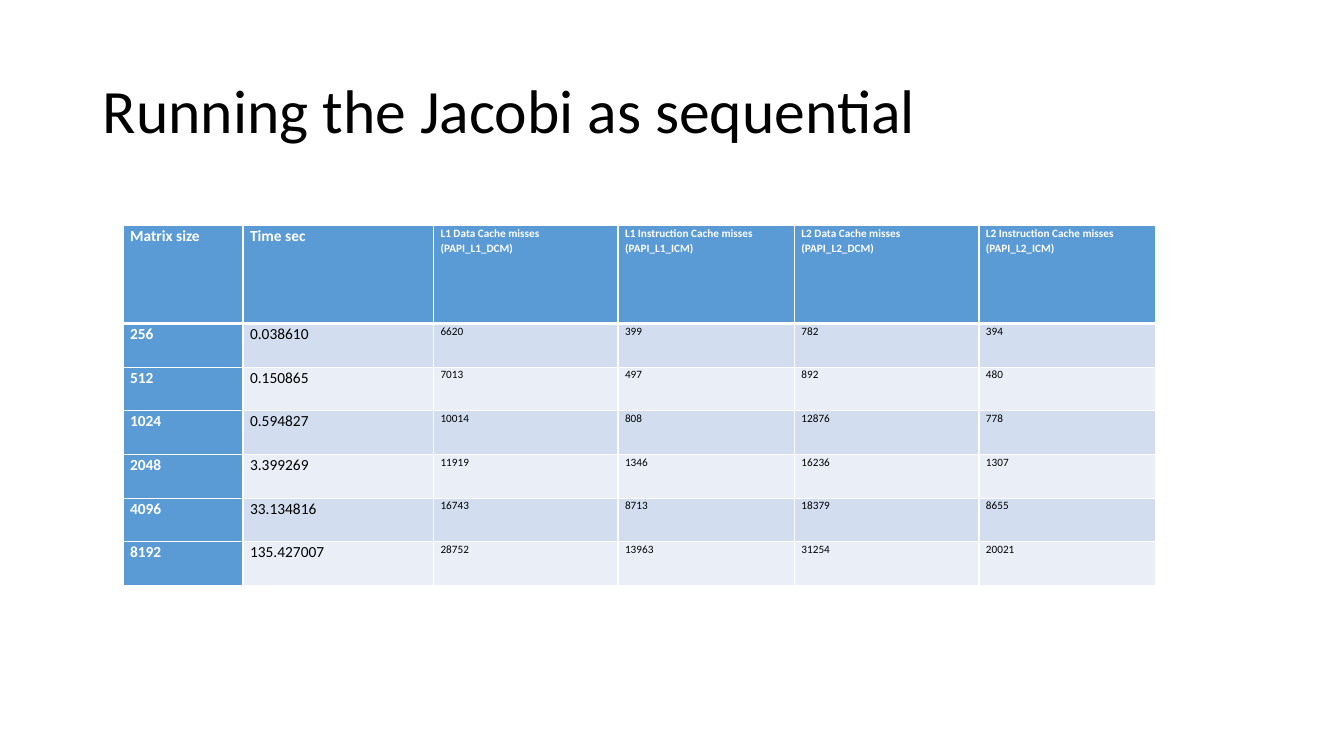
import lxml.etree
import pptx
import pptx.dml.color
import pptx.enum.text
import pptx.oxml.ns
import pptx.util

Inches = pptx.util.Inches

TITLE = "Running the Jacobi as sequential"
HEADERS = [
    "Matrix size",
    "Time sec",
    "L1 Data Cache misses\n(PAPI_L1_DCM)",
    "L1 Instruction Cache misses\n(PAPI_L1_ICM)",
    "L2 Data Cache misses\n(PAPI_L2_DCM)",
    "L2 Instruction Cache misses\n(PAPI_L2_ICM)",
]
MEASUREMENTS = [
    ("256", "0.038610", "6620", "399", "782", "394"),
    ("512", "0.150865", "7013", "497", "892", "480"),
    ("1024", "0.594827", "10014", "808", "12876", "778"),
    ("2048", "3.399269", "11919", "1346", "16236", "1307"),
    ("4096", "33.134816", "16743", "8713", "18379", "8655"),
    ("8192", "135.427007", "28752", "13963", "31254", "20021"),
]
COLORS = {"header": "5B9BD5", "odd": "D2DEEF", "even": "EAEFF7",
          "light": "FFFFFF", "dark": "000000"}
FONT = "Calibri"
COLUMN_WIDTHS = [1.19, 1.89, 1.83, 1.75, 1.83, 1.75]
TABLE_LEFT, TABLE_TOP, TABLE_HEIGHT = 1.22, 2.24, 3.57
HEADER_HEIGHT = 0.97
ROW_HEIGHT = (TABLE_HEIGHT - HEADER_HEIGHT) / len(MEASUREMENTS)


def rgb(name):
    """Return the named color as an RGB value."""
    return pptx.dml.color.RGBColor.from_string(COLORS[name])


def set_values(target, values):
    """Set every attribute in a dict of format values."""
    for name, value in values.items():
        setattr(target, name, value)


def format_text(text_frame, size, color, bold, spacing):
    """Format every paragraph of a text frame alike."""
    for paragraph in text_frame.paragraphs:
        set_values(paragraph, {"line_spacing": spacing,
                               "alignment": pptx.enum.text.PP_ALIGN.LEFT})
        for run in paragraph.runs:
            set_values(run.font, {"name": FONT, "size": pptx.util.Pt(size), "bold": bold})
            run.font.color.rgb = rgb(color)


def add_borders(cell, bottom_width):
    """Draw light lines on all four sides, placed ahead of the cell fill."""
    properties = cell._tc.get_or_add_tcPr()
    widths = {"lnL": 1, "lnR": 1, "lnT": 1, "lnB": bottom_width}
    for position, (side, width) in enumerate(widths.items()):
        line = lxml.etree.Element(pptx.oxml.ns.qn(f"a:{side}"), w=str(pptx.util.Pt(width)))
        fill = lxml.etree.SubElement(line, pptx.oxml.ns.qn("a:solidFill"))
        lxml.etree.SubElement(fill, pptx.oxml.ns.qn("a:srgbClr"), val=COLORS["light"])
        properties.insert(position, line)


def fill_cell(cell, text, row, column):
    """Write and style one table cell by its row and column."""
    is_header = row == 0 or column == 0
    band = "header" if is_header else ("odd" if row % 2 else "even")
    set_values(cell, {"text": text, "margin_left": Inches(0.07), "margin_right": Inches(0.07),
                      "margin_top": 0, "margin_bottom": 0})
    cell.fill.solid()
    cell.fill.fore_color.rgb = rgb(band)
    format_text(cell.text_frame, 11 if column < 2 else 8,
                "light" if is_header else "dark", is_header, 1.07)
    add_borders(cell, 3 if row == 0 else 1)


def add_title(slide):
    """Place and format the slide title."""
    title = slide.shapes.title
    set_values(title, {"left": Inches(0.92), "top": Inches(0.4),
                       "width": Inches(11.5), "height": Inches(1.45)})
    set_values(title.text_frame, {"text": TITLE, "word_wrap": True,
                                  "vertical_anchor": pptx.enum.text.MSO_ANCHOR.MIDDLE})
    format_text(title.text_frame, 44, "dark", False, 0.9)


def add_results_table(slide):
    """Add the table of timings and cache misses."""
    rows = [HEADERS, *MEASUREMENTS]
    table = slide.shapes.add_table(
        len(rows), len(HEADERS), Inches(TABLE_LEFT), Inches(TABLE_TOP),
        Inches(sum(COLUMN_WIDTHS)), Inches(TABLE_HEIGHT)).table
    table.first_col = True
    for column, width in enumerate(COLUMN_WIDTHS):
        table.columns[column].width = Inches(width)
    for row, texts in enumerate(rows):
        table.rows[row].height = Inches(ROW_HEIGHT if row else HEADER_HEIGHT)
        for column, text in enumerate(texts):
            fill_cell(table.cell(row, column), text, row, column)


presentation = pptx.Presentation()
set_values(presentation, {"slide_width": Inches(13.33), "slide_height": Inches(7.5)})
slide = presentation.slides.add_slide(presentation.slide_layouts.get_by_name("Title Only"))
add_title(slide)
add_results_table(slide)
presentation.save("out.pptx")
